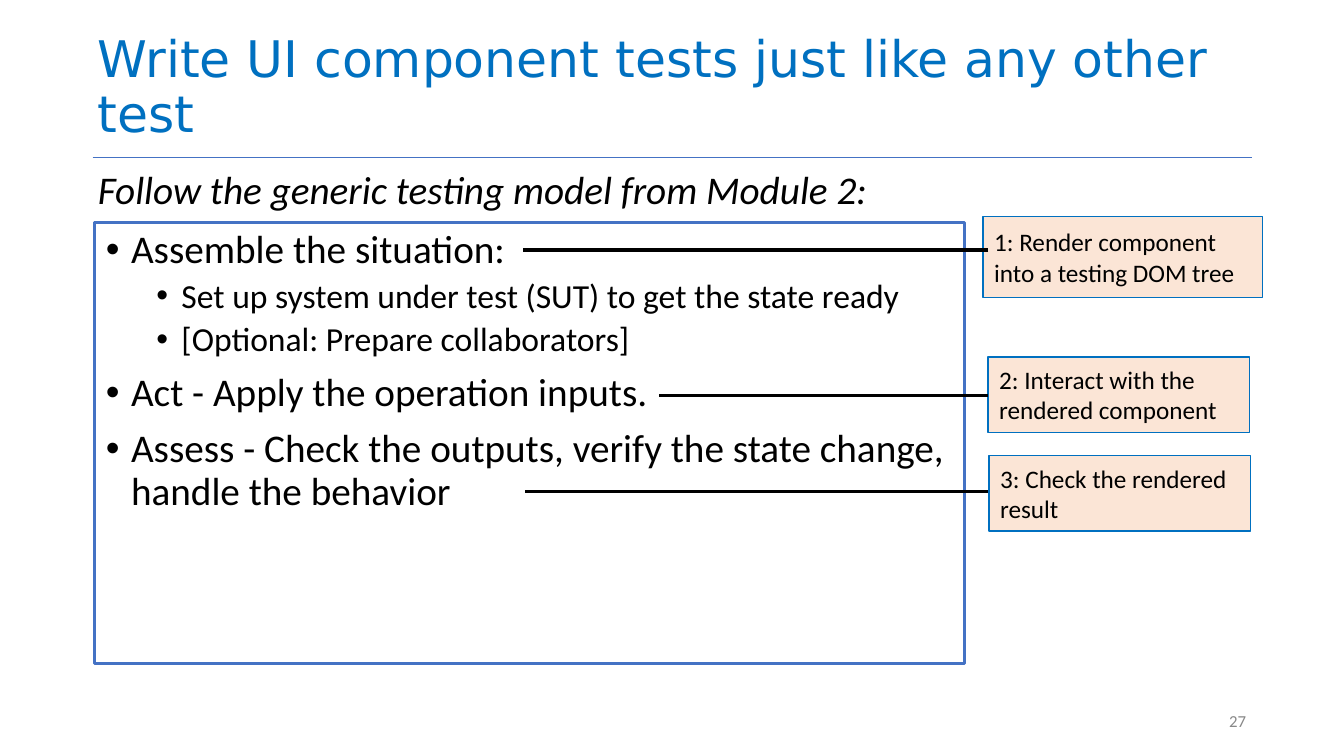
from dataclasses import dataclass

from lxml import etree
from pptx import Presentation
from pptx import util as u
from pptx.dml.color import RGBColor
from pptx.enum import shapes, text
from pptx.oxml.ns import qn

BLUE, FRAME_BLUE, PEACH = "0070C0", "4472C4", "FBE5D6"
BLACK, GREY = "000000", "888888"
INSET = 0.05


@dataclass
class Callout:
    words: str
    left: float
    top: float
    width: float
    height: float
    line_start: float
    line_y: float


@dataclass
class Item:
    words: str
    level: int = 0


CALLOUTS = [
    Callout("1: Render component into a testing DOM tree", 9.75, 2.15, 2.77, 0.8, 5.19, 2.48),
    Callout("2: Interact with the rendered component", 9.8, 3.54, 2.59, 0.75, 6.54, 3.92),
    Callout("3: Check the rendered result", 9.81, 4.52, 2.59, 0.75, 5.21, 4.88),
]
STEPS = [
    Item("Assemble the situation:"),
    Item("Set up system under test (SUT) to get the state ready", 1),
    Item("[Optional: Prepare collaborators]", 1),
    Item("Act - Apply the operation inputs."),
    Item("Assess - Check the outputs, verify the state change, handle the behavior"),
]


def colour(value: str) -> RGBColor:
    return RGBColor.from_string(value)


def place(box, left: float, top: float, width: float, height: float) -> None:
    box.left, box.top = u.Inches(left), u.Inches(top)
    box.width, box.height = u.Inches(width), u.Inches(height)


def set_frame(box, anchor, side: float = INSET, top: float = INSET, wrap: bool = True):
    frame = box.text_frame
    frame.auto_size = text.MSO_AUTO_SIZE.NONE
    frame.word_wrap = wrap
    frame.vertical_anchor = anchor
    frame.margin_left = frame.margin_right = u.Inches(side)
    frame.margin_top, frame.margin_bottom = u.Inches(top), u.Inches(INSET)
    return frame


def add_span(para, words: str, size: float, value: str = BLACK,
             font: str = "Calibri", italic: bool = False) -> None:
    span = para.add_run()
    span.text = words
    span.font.name, span.font.size = font, u.Pt(size)
    span.font.italic = italic
    span.font.color.rgb = colour(value)


def set_bullet(para, indent: float, bullet: str = "") -> None:
    props = para._p.get_or_add_pPr()
    props.set("marL", str(u.Inches(indent)))
    props.set("indent", str(u.Inches(-0.25 if bullet else 0)))
    if bullet:
        etree.SubElement(props, qn("a:buFont")).set("typeface", "Arial")
        etree.SubElement(props, qn("a:buChar")).set("char", bullet)
    else:
        etree.SubElement(props, qn("a:buNone"))


def add_line(page, start: tuple, end: tuple, value: str, weight: float) -> None:
    line = page.shapes.add_connector(
        shapes.MSO_CONNECTOR.STRAIGHT, *(u.Inches(n) for n in start + end))
    line.line.color.rgb = colour(value)
    line.line.width = u.Pt(weight)
    etree.SubElement(line._element.spPr, qn("a:effectLst"))


def add_callout(page, note: Callout) -> None:
    box = page.shapes.add_shape(
        shapes.MSO_SHAPE.RECTANGLE,
        *(u.Inches(n) for n in (note.left, note.top, note.width, note.height)))
    box.shadow.inherit = False
    box.fill.solid()
    box.fill.fore_color.rgb = colour(PEACH)
    box.line.color.rgb = colour(BLUE)
    box.line.width = u.Pt(1)
    para = set_frame(box, text.MSO_ANCHOR.MIDDLE, side=0.11).paragraphs[0]
    para.alignment = text.PP_ALIGN.LEFT
    add_span(para, note.words, 18)


def main() -> None:
    deck = Presentation()
    deck.slide_width, deck.slide_height = u.Inches(13.33), u.Inches(7.5)
    page = deck.slides.add_slide(deck.slide_layouts.get_by_name("Two Content"))
    title, intro, steps = page.placeholders

    # Title and rule
    add_line(page, (0.92, 1.56), (12.42, 1.56), FRAME_BLUE, 0.5)
    place(title, 0.92, 0.02, 11.5, 1.45)
    para = set_frame(title, text.MSO_ANCHOR.BOTTOM).paragraphs[0]
    para.alignment, para.line_spacing = text.PP_ALIGN.LEFT, 0.9
    add_span(para, "Write UI component tests just like any other test", 36, BLUE, "DejaVu Sans")

    # Introduction
    place(intro, 0.92, 1.64, 8.63, 0.58)
    para = set_frame(intro, text.MSO_ANCHOR.TOP).paragraphs[0]
    para.line_spacing, para.space_before = 0.9, u.Pt(10)
    set_bullet(para, 0)
    add_span(para, "Follow the generic testing model from Module 2:", 28, italic=True)

    # Framed list of steps
    place(steps, 0.94, 2.21, 8.63, 4.37)
    steps.line.color.rgb = colour(FRAME_BLUE)
    steps.line.width = u.Pt(2.25)
    frame = set_frame(steps, text.MSO_ANCHOR.TOP, side=0.11, top=0.07)
    for index, item in enumerate(STEPS):
        para = frame.add_paragraph() if index else frame.paragraphs[0]
        para.level = item.level
        para.line_spacing = 0.9
        para.space_before = u.Pt(5 if item.level else 10)
        set_bullet(para, 0.25 + 0.5 * item.level, "•")
        add_span(para, item.words, 24 if item.level else 28)

    # Callouts, then the lines that tie them to the steps
    for note in CALLOUTS:
        add_callout(page, note)
    for note in CALLOUTS:
        add_line(page, (9.8, note.line_y), (note.line_start, note.line_y), BLACK, 2.25)

    # Page number
    number = page.shapes.add_textbox(
        u.Inches(12.13), u.Inches(7.02), u.Inches(0.28), u.Inches(0.27))
    para = set_frame(number, text.MSO_ANCHOR.MIDDLE, wrap=False).paragraphs[0]
    para.alignment = text.PP_ALIGN.RIGHT
    add_span(para, "27", 12, GREY)

    deck.save("out.pptx")


if __name__ == "__main__":
    main()
